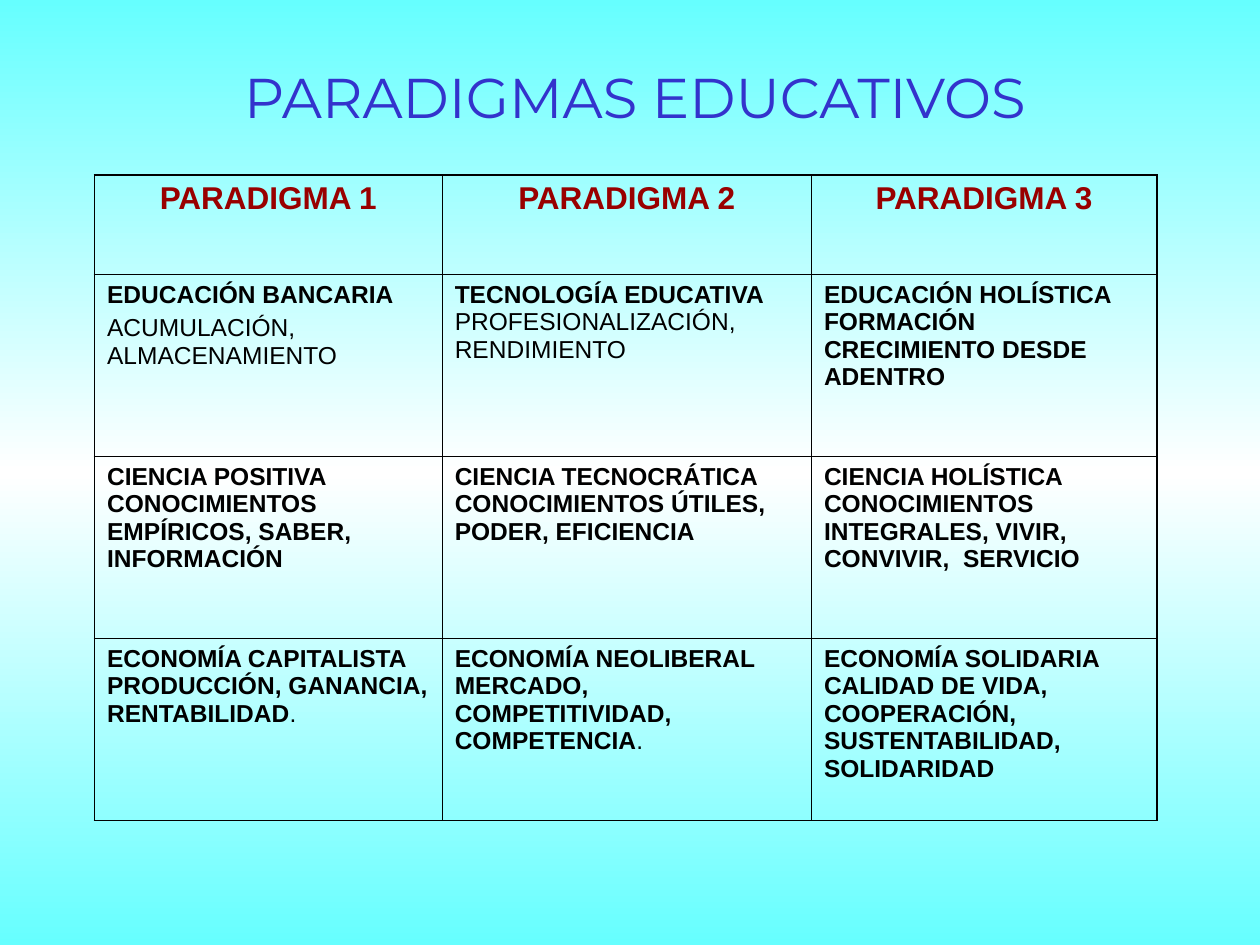
import copy

import pptx
import pptx.dml.color
import pptx.enum.text
import pptx.oxml
import pptx.oxml.ns
import pptx.util

Pt = pptx.util.Pt
CENTER = pptx.enum.text.PP_ALIGN.CENTER
COLORS = {"edge": "66FFFF", "middle": "FFFFFF", "title": "3333CC",
          "header": "990000", "text": "000000"}


def add_run(p, text, size, color, bold=False, font="Arial"):
    r = p.add_run()
    r.text = text
    r.font.name = font
    r.font.size = Pt(size)
    r.font.bold = bold
    r.font.color.rgb = pptx.dml.color.RGBColor.from_string(COLORS[color])


def set_borders(cell, widths):
    tc_pr = cell._tc.get_or_add_tcPr()
    for i, (side, width) in enumerate(widths.items()):
        tc_pr.insert(i, pptx.oxml.parse_xml(
            f'<a:ln{side} {pptx.oxml.ns.nsdecls("a")} w="{Pt(width)}"><a:solidFill>'
            f'<a:srgbClr val="{COLORS["text"]}"/></a:solidFill></a:ln{side}>'))


prs = pptx.Presentation()
prs.slide_width, prs.slide_height = Pt(720), Pt(540)
slide = prs.slides.add_slide(prs.slide_layouts[6])

# Background gradient, top to bottom
fill = slide.background.fill
fill.gradient()
fill.gradient_angle = 270
stops = slide.element.xpath(".//a:gsLst")[0]
stops.append(copy.deepcopy(stops[0]))
for stop, position, name in zip(fill.gradient_stops, (0, 0.5, 1),
                                ("edge", "middle", "edge")):
    stop.position = position
    stop.color.rgb = pptx.dml.color.RGBColor.from_string(COLORS[name])

# Title
tf = slide.shapes.add_textbox(Pt(105), Pt(32), Pt(516), Pt(51)).text_frame
tf.word_wrap = False
p = tf.paragraphs[0]
p.alignment = CENTER
add_run(p, "PARADIGMAS EDUCATIVOS", 32, "title", font="Montserrat")

# Table content: cell > paragraphs > runs (text, bold)
rows = [
    [[[(f"PARADIGMA {n}", True)]] for n in (1, 2, 3)],
    [[[("EDUCACIÓN BANCARIA", True)],
      [("ACUMULACIÓN, ALMACENAMIENTO", False)]],
     [[("TECNOLOGÍA EDUCATIVA", True),
       (" PROFESIONALIZACIÓN, RENDIMIENTO", False)]],
     [[("EDUCACIÓN HOLÍSTICA FORMACIÓN CRECIMIENTO DESDE ADENTRO", True)]]],
    [[[("CIENCIA POSITIVA CONOCIMIENTOS EMPÍRICOS, SABER, INFORMACIÓN", True)]],
     [[("CIENCIA TECNOCRÁTICA CONOCIMIENTOS ÚTILES, PODER, EFICIENCIA", True)]],
     [[("CIENCIA HOLÍSTICA CONOCIMIENTOS INTEGRALES, VIVIR, CONVIVIR,  SERVICIO",
        True)]]],
    [[[("ECONOMÍA CAPITALISTA PRODUCCIÓN, GANANCIA, RENTABILIDAD", True),
       (".", False)]],
     [[("ECONOMÍA NEOLIBERAL MERCADO, COMPETITIVIDAD, COMPETENCIA", True),
       (".", False)]],
     [[("ECONOMÍA SOLIDARIA CALIDAD DE VIDA, COOPERACIÓN, SUSTENTABILIDAD, "
        "SOLIDARIDAD", True)]]],
]
col_widths = [198.7, 211, 197.3]
row_heights = [57, 104, 104, 104]

# Table
table = slide.shapes.add_table(len(rows), len(col_widths), Pt(54), Pt(100),
                               Pt(sum(col_widths)), Pt(sum(row_heights))).table
table.first_row = table.horz_banding = False
for col, width in zip(table.columns, col_widths):
    col.width = Pt(width)
for row, height in zip(table.rows, row_heights):
    row.height = Pt(height)

thin, thick = 0.45, 1.08
for i, row in enumerate(rows):
    size, color, before = (18, "header", 4.5) if i == 0 else (14, "text", 3.5)
    for j, paragraphs in enumerate(row):
        cell = table.cell(i, j)
        cell.fill.background()
        set_borders(cell, {
            "L": thick if j == 0 else thin,
            "R": thick if j == len(row) - 1 else thin,
            "T": thick if i == 0 else thin,
            "B": thick if i == len(rows) - 1 else thin,
        })
        tf = cell.text_frame
        for k, runs in enumerate(paragraphs):
            p = tf.add_paragraph() if k else tf.paragraphs[0]
            p.space_before = Pt(before)
            if i == 0:
                p.alignment = CENTER
            for text, bold in runs:
                add_run(p, text, size, color, bold)

prs.save("out.pptx")
